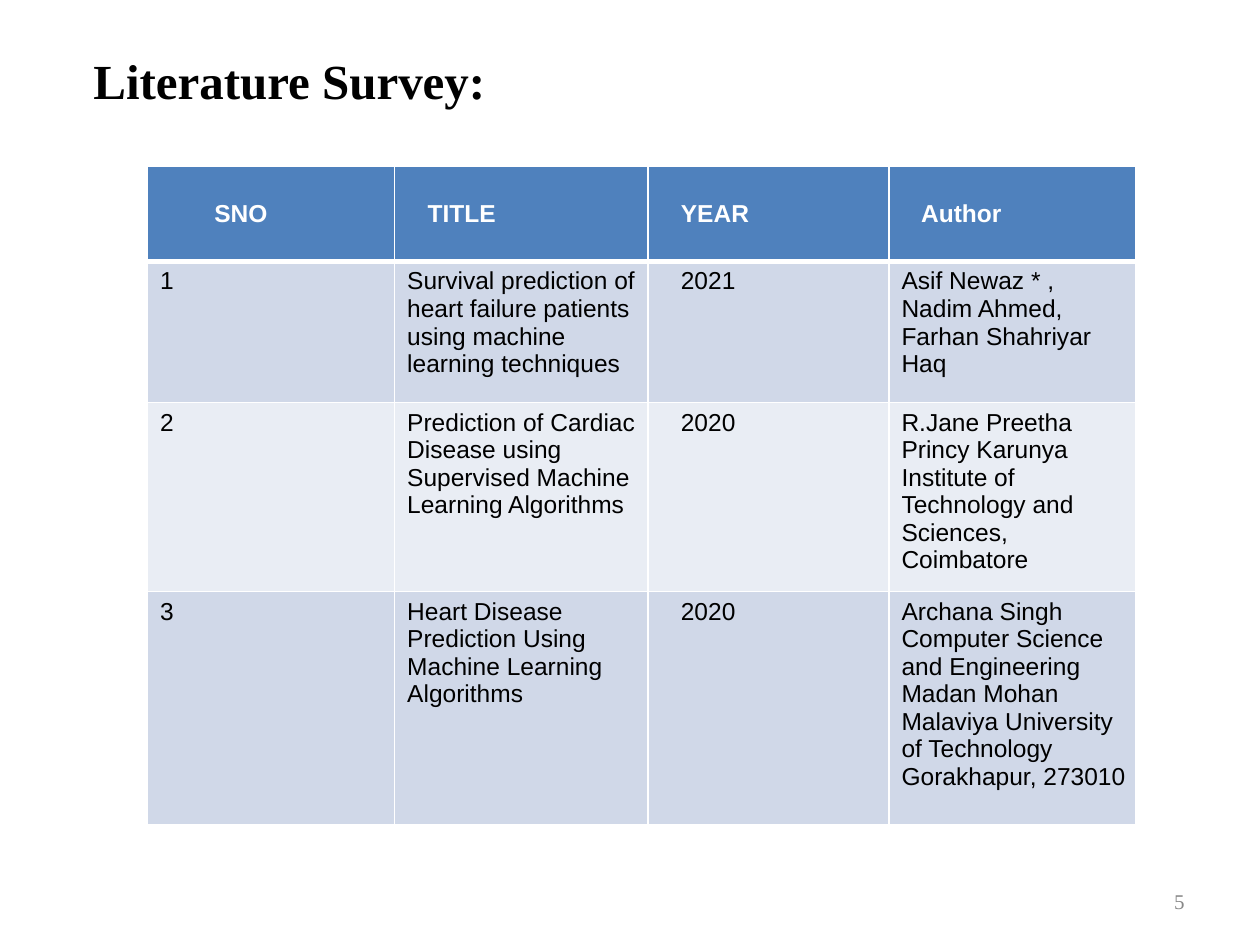
"""Build the literature survey slide with its table of papers."""
from dataclasses import dataclass
from typing import NamedTuple

from lxml.etree import SubElement
from pptx import Presentation
from pptx.dml.color import RGBColor as RGB
from pptx.enum.text import MSO_ANCHOR as Anchor, MSO_AUTO_SIZE as AutoSize, PP_ALIGN as Align
from pptx.oxml.ns import qn
from pptx.util import Pt


@dataclass(frozen=True)
class Theme:
    serif: str = "Times New Roman"
    sans: str = "Arial"
    title_size: int = 28
    table_size: int = 14
    number_size: int = 12
    ink: str = "000000"
    white: str = "FFFFFF"
    grey: str = "888888"
    header: str = "4F81BD"
    bands: tuple[str, str] = ("D0D8E8", "E9EDF4")


class Paper(NamedTuple):
    sno: str
    title: str
    year: str
    author: str


class Box(NamedTuple):
    left: float
    top: float
    width: float
    height: float


T = Theme()
TITLE_BOX = Box(46.2, 25.2, 612, 51.8)
NUMBER_BOX = Box(516.2, 500.4, 167.8, 28.8)
TABLE_BOX = Box(84.3, 95.2, 565, 369.4)
COL_WIDTHS = (141.2, 144.7, 137.8, 141.3)
ROW_HEIGHTS = (54.2, 80.7, 101.5, 133)
INSET = 7.2
RIGHT_INSET = 5
HEADER_INDENTS = (31, 11.7, 11.7, 11.2)
BODY_INDENTS = (0, 0, 11.7, 0)
HEADER = Paper("SNO", "TITLE", "YEAR", "Author")
PAPERS = (
    Paper("1", "Survival prediction of heart failure patients using machine learning techniques",
          "2021", "Asif Newaz * , Nadim Ahmed, Farhan Shahriyar Haq"),
    Paper("2", "Prediction of Cardiac Disease using Supervised Machine Learning Algorithms",
          "2020", "R.Jane Preetha Princy Karunya Institute of Technology and Sciences, Coimbatore"),
    Paper("3", "Heart Disease Prediction Using Machine Learning Algorithms",
          "2020", "Archana Singh Computer Science and Engineering Madan Mohan Malaviya "
          "University of Technology Gorakhapur, 273010"),
)


def set_attrs(target, values: dict) -> None:
    """Set each named attribute of the target."""
    for name, value in values.items():
        setattr(target, name, value)


def write(tf, text: str, font: str, size: float, color: str,
          bold: bool = False, align: Align = Align.LEFT) -> None:
    """Write one formatted paragraph into a text frame."""
    p = tf.paragraphs[0]
    p.alignment = align
    r = p.add_run()
    r.text = text
    set_attrs(r.font, {"name": font, "size": Pt(size), "bold": bold})
    r.font.color.rgb = RGB.from_string(color)


def add_border(cell, side: str, width: float) -> None:
    """Draw a white border on one side of a cell."""
    ln = SubElement(cell._tc.get_or_add_tcPr(), qn(f"a:ln{side}"), w=str(Pt(width)))
    SubElement(SubElement(ln, qn("a:solidFill")), qn("a:srgbClr"), val=T.white)


def fill_cell(cell, text: str, row: int, indent: float) -> None:
    """Format a table cell according to its row."""
    is_header = row == 0
    borders = {"L": 1, "R": 1, "T": 3 if row == 1 else 1, "B": 3 if is_header else 1}
    for side, width in borders.items():
        add_border(cell, side, width)
    cell.fill.solid()
    cell.fill.fore_color.rgb = RGB.from_string(T.header if is_header else T.bands[(row - 1) % 2])
    set_attrs(cell, {"margin_left": Pt(INSET + indent), "margin_right": Pt(RIGHT_INSET),
                     "vertical_anchor": Anchor.MIDDLE if is_header else Anchor.TOP})
    write(cell.text_frame, text, T.sans, T.table_size,
          T.white if is_header else T.ink, bold=is_header)


def add_title(s, text: str) -> None:
    """Place and format the title placeholder."""
    sp = s.shapes.title
    set_attrs(sp, {name: Pt(v) for name, v in TITLE_BOX._asdict().items()})
    tf = sp.text_frame
    set_attrs(tf, {"vertical_anchor": Anchor.MIDDLE, "auto_size": AutoSize.NONE,
                   "word_wrap": True, "margin_bottom": Pt(10.4)})
    write(tf, text, T.serif, T.title_size, T.ink, bold=True)
    tf.paragraphs[0].line_spacing = 0.9


def add_papers(s) -> None:
    """Add the table of surveyed papers."""
    rows = (HEADER, *PAPERS)
    table = s.shapes.add_table(len(rows), len(HEADER), *map(Pt, TABLE_BOX)).table
    for column, width in zip(table.columns, COL_WIDTHS):
        column.width = Pt(width)
    for i, (paper, height) in enumerate(zip(rows, ROW_HEIGHTS)):
        table.rows[i].height = Pt(height)
        indents = BODY_INDENTS if i else HEADER_INDENTS
        for j, (text, indent) in enumerate(zip(paper, indents)):
            fill_cell(table.cell(i, j), text, i, indent)


def add_number(s, text: str) -> None:
    """Add the slide number."""
    tf = s.shapes.add_textbox(*map(Pt, NUMBER_BOX)).text_frame
    set_attrs(tf, {"word_wrap": True, "vertical_anchor": Anchor.MIDDLE})
    write(tf, text, T.serif, T.number_size, T.grey, align=Align.RIGHT)


def main() -> None:
    """Build and save the slide."""
    prs = Presentation()
    set_attrs(prs, {"slide_width": Pt(720), "slide_height": Pt(540)})
    s = prs.slides.add_slide(prs.slide_layouts[5])
    add_title(s, "Literature Survey:")
    add_number(s, "5")
    add_papers(s)
    prs.save("out.pptx")


if __name__ == "__main__":
    main()
